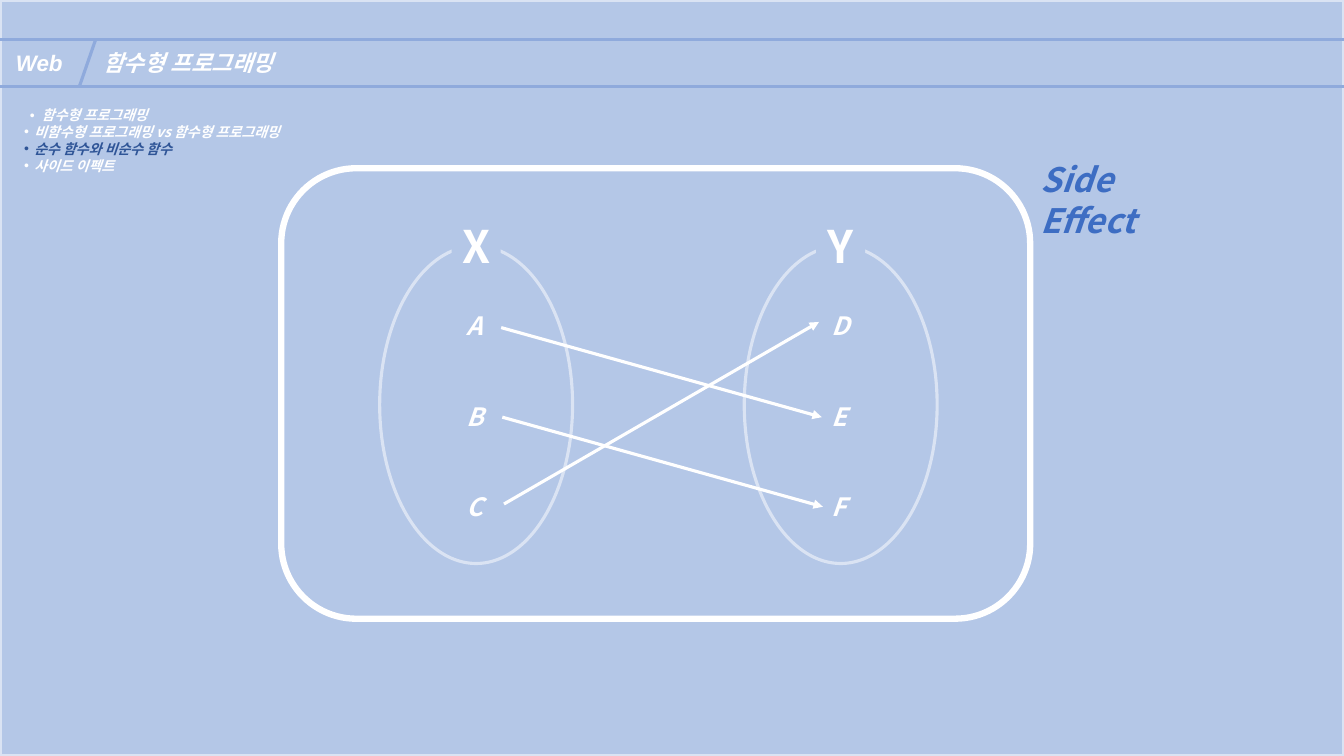
from dataclasses import dataclass

import pptx
import pptx.dml.color
import pptx.enum.shapes
import pptx.enum.text
import pptx.oxml.ns
import pptx.oxml.xmlchemy
import pptx.util
from lxml import etree

Pt = pptx.util.Pt
qn = pptx.oxml.ns.qn
SHAPE = pptx.enum.shapes.MSO_SHAPE
ALIGN = pptx.enum.text.PP_ALIGN
ANCHOR = pptx.enum.text.MSO_ANCHOR


@dataclass(frozen=True)
class Theme:
    back: str = "B4C7E7"
    pale: str = "DAE3F3"
    band: str = "8FAADC"
    white: str = "FFFFFF"
    current: str = "2F5597"
    accent: str = "3D6DC3"
    latin: str = "Arial"
    korean: str = "Noto Sans CJK KR"
    list_size: float = 10
    head_size: float = 16
    item_size: float = 18
    note_size: float = 24
    label_size: float = 32
    leading: float = 1.2


@dataclass(frozen=True)
class Box:
    left: float
    top: float
    width: float
    height: float

    def lengths(self) -> tuple:
        return Pt(self.left), Pt(self.top), Pt(self.width), Pt(self.height)


@dataclass(frozen=True)
class Style:
    size: float
    color: str = "FFFFFF"
    font: str = "Noto Sans CJK KR"
    italic: bool = True


@dataclass(frozen=True)
class Topic:
    text: str
    color: str
    margin: float = 7
    hang: float = 7


@dataclass(frozen=True)
class MappedSet:
    label: str
    items: tuple
    left: float


@dataclass(frozen=True)
class Line:
    start: tuple
    end: tuple
    color: str
    arrow: bool = True


THEME = Theme()
RGB = pptx.dml.color.RGBColor.from_string

TOPICS = [
    Topic("함수형 프로그래밍", THEME.white, 12.5, 8.5),
    Topic("비함수형 프로그래밍 vs 함수형 프로그래밍", THEME.white),
    Topic("순수 함수와 비순수 함수", THEME.current),
    Topic("사이드 이펙트", THEME.white),
]
SETS = [MappedSet("X", ("A", "B", "C"), 271.2), MappedSet("Y", ("D", "E", "F"), 531.6)]
LINES = [
    Line((68.4, 28), (56.9, 61.2), THEME.band, arrow=False),
    Line((358, 234), (587, 298), THEME.white),
    Line((358.8, 298), (587.8, 362), THEME.white),
    Line((360, 360), (585, 230), THEME.white),
]


def format_para(para, style: Style, before: float = 0, align=ALIGN.LEFT) -> None:
    para.alignment = align
    para.line_spacing = Pt(style.size * THEME.leading)
    para.space_before = Pt(before)
    para.space_after = Pt(0)
    font = para.font
    font.size, font.bold, font.italic = Pt(style.size), True, style.italic
    font.name = style.font
    font.color.rgb = RGB(style.color)
    # East Asian letters take the same typeface
    defaults = para._p.pPr.find(qn("a:defRPr"))
    etree.SubElement(defaults, qn("a:ea"), typeface=style.font)


def fill_frame(shape, texts, style: Style, gap: float = 0, align=ALIGN.LEFT, anchor=ANCHOR.TOP) -> None:
    frame = shape.text_frame
    frame.word_wrap = True
    frame.auto_size = pptx.enum.text.MSO_AUTO_SIZE.NONE
    frame.vertical_anchor = anchor
    frame.text = "\n".join(texts)
    for index, para in enumerate(frame.paragraphs):
        format_para(para, style, gap if index else 0, align)


def place(shape, box: Box) -> None:
    shape.left, shape.top, shape.width, shape.height = box.lengths()


def add_outline(page, kind, box: Box, fill=None, line=None, weight: float = 2.25):
    shape = page.shapes.add_shape(kind, *box.lengths())
    shape.shadow.inherit = False
    if fill:
        shape.fill.solid()
        shape.fill.fore_color.rgb = RGB(fill)
    else:
        shape.fill.background()
    if line:
        shape.line.color.rgb = RGB(line)
        shape.line.width = Pt(weight)
    else:
        shape.line.fill.background()
    return shape


def add_line(page, line: Line) -> None:
    ends = [Pt(value) for value in line.start + line.end]
    connector = page.shapes.add_connector(pptx.enum.shapes.MSO_CONNECTOR.STRAIGHT, *ends)
    connector.line.color.rgb = RGB(line.color)
    connector.line.width = Pt(2.25)
    if line.arrow:
        etree.SubElement(connector.line._get_or_add_ln(), qn("a:tailEnd"), type="triangle")
    etree.SubElement(connector._element.spPr, qn("a:effectLst"))


def add_topics(body) -> None:
    fill_frame(body, [topic.text for topic in TOPICS], Style(THEME.list_size))
    for para, topic in zip(body.text_frame.paragraphs, TOPICS):
        para.font.color.rgb = RGB(topic.color)
        props = para._p.pPr
        props.set("marL", str(Pt(topic.margin)))
        props.set("indent", str(-Pt(topic.hang)))
        bullet = etree.Element(qn("a:buChar"), char="•")
        props.find(qn("a:defRPr")).addprevious(bullet)


def add_set(page, group: MappedSet) -> None:
    add_outline(page, SHAPE.OVAL, Box(group.left, 175.7, 137.8, 226.8), THEME.back, THEME.pale)
    items = page.shapes.add_textbox(*Box(group.left + 55.2, 218.2, 36, 160).lengths())
    fill_frame(items, group.items, Style(THEME.item_size), gap=43)
    label = add_outline(page, SHAPE.RECTANGLE, Box(group.left + 51.4, 152.6, 35, 46), THEME.back)
    fill_frame(label, [group.label], Style(THEME.label_size, italic=False),
               align=ALIGN.CENTER, anchor=ANCHOR.MIDDLE)


def main() -> None:
    deck = pptx.Presentation()
    deck.slide_width, deck.slide_height = Pt(960), Pt(540)
    page = deck.slides.add_slide(deck.slide_layouts[1])
    page.background.fill.solid()
    page.background.fill.fore_color.rgb = RGB(THEME.back)

    # Header: page border, band, subject and title
    heading = Style(THEME.head_size, font=THEME.latin)
    title, body = page.placeholders
    place(title, Box(66.5, 31.7, 220, 26.6))
    fill_frame(title, ["함수형 프로그래밍"], heading, anchor=ANCHOR.MIDDLE)
    add_outline(page, SHAPE.RECTANGLE, Box(0, 0, 960, 540), line=THEME.pale)
    add_outline(page, SHAPE.RECTANGLE, Box(-10.8, 28, 978, 33.6), line=THEME.band)
    subject = page.shapes.add_textbox(*Box(4.3, 31.7, 52, 26.6).lengths())
    fill_frame(subject, ["Web"], heading, anchor=ANCHOR.MIDDLE)

    # Topic list
    place(body, Box(10.1, 72.7, 260, 55.4))
    add_topics(body)

    # Mapping between the two sets
    for group in SETS:
        add_set(page, group)
    for line in LINES:
        add_line(page, line)

    # Frame and its note
    add_outline(page, SHAPE.ROUNDED_RECTANGLE, Box(200.9, 120.2, 535, 321.8), line=THEME.white, weight=4.5)
    note = page.shapes.add_textbox(*Box(736, 110.2, 110, 65).lengths())
    fill_frame(note, ["Side Effect"], Style(THEME.note_size, THEME.accent))

    deck.save("out.pptx")


if __name__ == "__main__":
    main()
